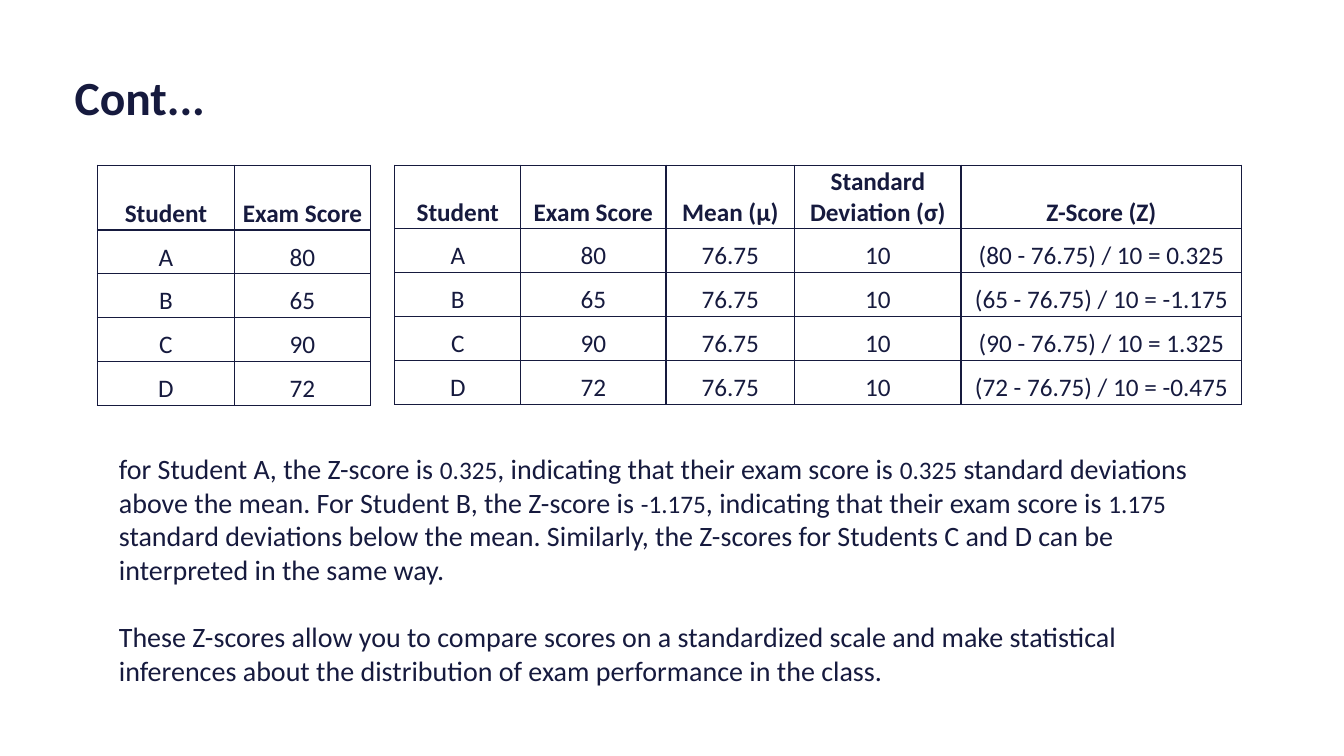
from lxml import etree
from pptx import Presentation
from pptx import util as u
from pptx.dml.color import RGBColor
from pptx.enum import text
from pptx.oxml import ns

Pt = u.Pt
INK = "161A3E"
MEAN, DEVIATION = 76.75, 10
SCORES = {"A": 80, "B": 65, "C": 90, "D": 72}
READING = [
    "for Student A, the Z-score is ", "0.325",
    ", indicating that their exam score is ", "0.325",
    " standard deviations above the mean. For Student B, the Z-score is ", "-1.175",
    ", indicating that their exam score is ", "1.175",
    " standard deviations below the mean. Similarly, the Z-scores for Students C and D "
    "can be interpreted in the same way.",
]
CONCLUSION = (
    "These Z-scores allow you to compare scores on a standardized scale and make "
    "statistical inferences about the distribution of exam performance in the class."
)


def color(value):
    """Return the colour for a hex string."""
    return RGBColor.from_string(value)


def add_text(p, words, size=18, bold=False, fill=INK, font="Calibri"):
    """Append a formatted run to a paragraph."""
    r = p.add_run()
    r.text = words
    r.font.size, r.font.bold, r.font.name = Pt(size), bold, font
    r.font.color.rgb = color(fill)


def set_margins(item, inset):
    """Give a cell or text frame the same margin on every side."""
    item.margin_left = item.margin_right = Pt(inset)
    item.margin_top = item.margin_bottom = Pt(inset)


def add_borders(cell, width=1):
    """Draw a solid line on all four sides of a cell."""
    props = cell._tc.get_or_add_tcPr()
    for i, side in enumerate(("lnL", "lnR", "lnT", "lnB")):
        ln = etree.Element(ns.qn(f"a:{side}"), w=str(Pt(width)))
        solid = etree.SubElement(ln, ns.qn("a:solidFill"))
        etree.SubElement(solid, ns.qn("a:srgbClr"), val=INK)
        props.insert(i, ln)


def add_title(s, words, left, top, width, height):
    """Place the slide title in its box."""
    sp = s.shapes.title
    sp.left, sp.top, sp.width, sp.height = map(Pt, (left, top, width, height))
    tf = sp.text_frame
    tf.vertical_anchor = text.MSO_ANCHOR.MIDDLE
    set_margins(tf, 0)
    p = tf.paragraphs[0]
    p.alignment, p.line_spacing = text.PP_ALIGN.LEFT, 0.9
    add_text(p, words, size=34, bold=True)


def add_grid(s, rows, left, top, widths, header, height):
    """Place a bordered table with a bold header row."""
    total = header + height * (len(rows) - 1)
    table = s.shapes.add_table(
        len(rows), len(widths), Pt(left), Pt(top), Pt(sum(widths)), Pt(total)).table
    table.first_row = table.horz_banding = False
    for col, width in zip(table.columns, widths):
        col.width = Pt(width)
    for i, values in enumerate(rows):
        table.rows[i].height = Pt(height if i else header)
        for j, value in enumerate(values):
            cell = table.cell(i, j)
            cell.fill.background()
            cell.vertical_anchor = text.MSO_ANCHOR.BOTTOM
            set_margins(cell, 0.72)
            add_borders(cell)
            p = cell.text_frame.paragraphs[0]
            p.alignment = text.PP_ALIGN.CENTER
            add_text(p, str(value), bold=i == 0)


def add_explanation(s, left, top, width, height):
    """Place the two explanatory paragraphs, with figures set smaller."""
    tf = s.shapes.add_textbox(Pt(left), Pt(top), Pt(width), Pt(height)).text_frame
    tf.word_wrap = True
    p = tf.paragraphs[0]
    for i, words in enumerate(READING):
        add_text(p, words, size=18 if i % 2 else 20)
    p = tf.add_paragraph()
    p.space_before = Pt(24)
    add_text(p, CONCLUSION, size=20)


def build_slide(prs):
    """Build the Z-score slide."""
    s = prs.slides.add_slide(prs.slide_layouts[5])
    add_title(s, "Cont...", 53.3, 47.5, 853.2, 48.2)
    scores = [("Student", "Exam Score"), *SCORES.items()]
    z_scores = [(*scores[0], "Mean (μ)", "Standard Deviation (σ)", "Z-Score (Z)")]
    for student, score in SCORES.items():
        z = (score - MEAN) / DEVIATION
        formula = f"({score} - {MEAN}) / {DEVIATION} = {z:.3f}"
        z_scores.append((student, score, MEAN, DEVIATION, formula))
    add_grid(s, scores, 69.6, 118, (97.9, 97.2), 46.3, 31.3)
    add_grid(s, z_scores, 282, 118, (90, 103.7, 92, 118.8, 200.6), 45.4, 31.4)
    add_explanation(s, 77.8, 319, 815, 177.1)


def main():
    """Create and save the presentation."""
    prs = Presentation()
    prs.slide_width, prs.slide_height = Pt(960), Pt(540)
    build_slide(prs)
    prs.save("out.pptx")


if __name__ == "__main__":
    main()
